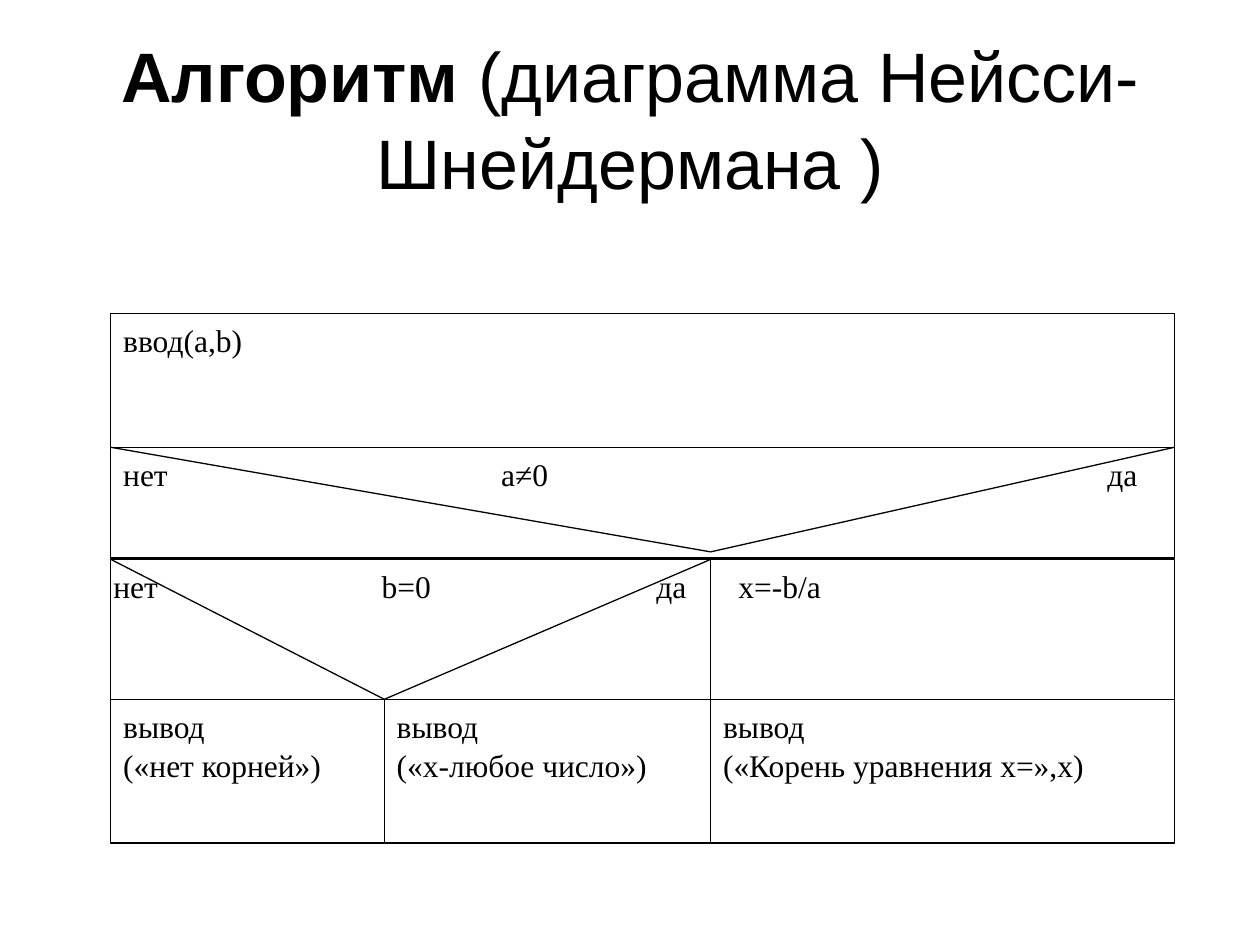
from dataclasses import dataclass

import pptx
import pptx.dml.color
import pptx.enum.shapes
import pptx.enum.text
import pptx.oxml
import pptx.oxml.ns
import pptx.slide
import pptx.text.text
import pptx.util

Inches = pptx.util.Inches
Pt = pptx.util.Pt


@dataclass(frozen=True)
class Theme:
    ink: pptx.dml.color.RGBColor = pptx.dml.color.RGBColor(0, 0, 0)
    paper: pptx.dml.color.RGBColor = pptx.dml.color.RGBColor(255, 255, 255)
    title_font: str = "Arial"
    block_font: str = "Times New Roman"
    title_size: float = 40
    block_size: float = 18
    line_width: float = 0.75
    line_spacing: float = 1.04


@dataclass(frozen=True)
class Block:
    """One cell of the diagram; tab stops are measured from its text edge."""
    left: float
    top: float
    right: float
    height: float
    lines: tuple[str, ...]
    tab_stops: tuple[float, ...] = ()
    inset: float = 0.1


@dataclass(frozen=True)
class Branch:
    """The V of a condition: two upper corners and the point between them."""
    left: float
    right: float
    top: float
    tip_x: float
    tip_y: float


THEME = Theme()

# Column edges and row tops of the diagram
LEFT, NO_EDGE, YES_EDGE, RIGHT = 0.88, 3.05, 5.64, 9.32
INPUT, OUTER, INNER, OUTPUT = 2.49, 3.55, 4.44, 5.55
ROW_HEIGHT = 1.14

BLOCKS = [
    Block(LEFT, INPUT, RIGHT, ROW_HEIGHT, ("ввод(a,b)",)),
    Block(LEFT, OUTER, RIGHT, 0.88, ("нет\ta≠0\tда",), (3, 7.81)),
    Block(LEFT, INNER, YES_EDGE, ROW_HEIGHT, ("нет\tb=0\tда",), (2.13, 4.31), 0.02),
    Block(YES_EDGE, INNER, RIGHT, ROW_HEIGHT, ("x=-b/a",), inset=0.22),
    Block(LEFT, OUTPUT, NO_EDGE, ROW_HEIGHT, ("вывод", "(«нет корней»)")),
    Block(NO_EDGE, OUTPUT, YES_EDGE, ROW_HEIGHT, ("вывод", "(«x-любое число»)")),
    Block(YES_EDGE, OUTPUT, RIGHT, ROW_HEIGHT,
          ("вывод", "(«Корень уравнения x=»,х)")),
]
BRANCHES = [
    Branch(LEFT, RIGHT, OUTER, YES_EDGE, 4.38),
    Branch(LEFT, YES_EDGE, INNER, NO_EDGE, OUTPUT),
]


def add_span(para: pptx.text.text._Paragraph, text: str, font: str,
             size: float, bold: bool = False) -> None:
    span = para.add_run()
    span.text = text
    span.font.name = font
    span.font.size = Pt(size)
    span.font.bold = bold
    span.font.color.rgb = THEME.ink


def add_tab_stops(para: pptx.text.text._Paragraph, stops: tuple[float, ...]) -> None:
    tab_list = pptx.oxml.parse_xml(
        f"<a:tabLst {pptx.oxml.ns.nsdecls('a')}>"
        + "".join(f'<a:tab pos="{int(Inches(stop))}" algn="l"/>' for stop in stops)
        + "</a:tabLst>")
    para._p.get_or_add_pPr().append(tab_list)


def fill_title(page: pptx.slide.Slide) -> None:
    title = page.shapes.title
    title.left, title.top = Inches(0.5), Inches(0.3)
    title.width, title.height = Inches(9), Inches(1.25)
    frame = title.text_frame
    frame.auto_size = pptx.enum.text.MSO_AUTO_SIZE.NONE
    frame.vertical_anchor = pptx.enum.text.MSO_ANCHOR.MIDDLE
    para = frame.paragraphs[0]
    para.alignment = pptx.enum.text.PP_ALIGN.CENTER
    para.line_spacing = THEME.line_spacing
    add_span(para, "Алгоритм", THEME.title_font, THEME.title_size, bold=True)
    add_span(para, " (диаграмма Нейсси-Шнейдермана )",
             THEME.title_font, THEME.title_size)


def draw_block(page: pptx.slide.Slide, block: Block) -> None:
    box = page.shapes.add_shape(
        pptx.enum.shapes.MSO_SHAPE.RECTANGLE, Inches(block.left), Inches(block.top),
        Inches(block.right - block.left), Inches(block.height))
    box.shadow.inherit = False
    box.fill.solid()
    box.fill.fore_color.rgb = THEME.paper
    box.line.color.rgb = THEME.ink
    box.line.width = Pt(THEME.line_width)
    frame = box.text_frame
    frame.word_wrap = True
    frame.vertical_anchor = pptx.enum.text.MSO_ANCHOR.TOP
    frame.margin_left, frame.margin_right = Inches(block.inset), Inches(0.1)
    frame.margin_top = frame.margin_bottom = Inches(0.05)
    for index, line in enumerate(block.lines):
        para = frame.add_paragraph() if index else frame.paragraphs[0]
        para.alignment = pptx.enum.text.PP_ALIGN.LEFT
        para.line_spacing = THEME.line_spacing
        if block.tab_stops:
            add_tab_stops(para, block.tab_stops)
        add_span(para, line, THEME.block_font, THEME.block_size)


def draw_branch(page: pptx.slide.Slide, branch: Branch) -> None:
    for corner in (branch.left, branch.right):
        line = page.shapes.add_connector(
            pptx.enum.shapes.MSO_CONNECTOR.STRAIGHT,
            Inches(corner), Inches(branch.top),
            Inches(branch.tip_x), Inches(branch.tip_y))
        line.line.color.rgb = THEME.ink
        line.line.width = Pt(THEME.line_width)
        line._element.spPr.append(pptx.oxml.parse_xml(
            f"<a:effectLst {pptx.oxml.ns.nsdecls('a')}/>"))


def main() -> None:
    deck = pptx.Presentation()
    deck.slide_width, deck.slide_height = Inches(10), Inches(7.5)
    page = deck.slides.add_slide(deck.slide_layouts.get_by_name("Title Only"))
    fill_title(page)
    for block in BLOCKS:
        draw_block(page, block)
    for branch in BRANCHES:
        draw_branch(page, branch)
    deck.save("out.pptx")


if __name__ == "__main__":
    main()
